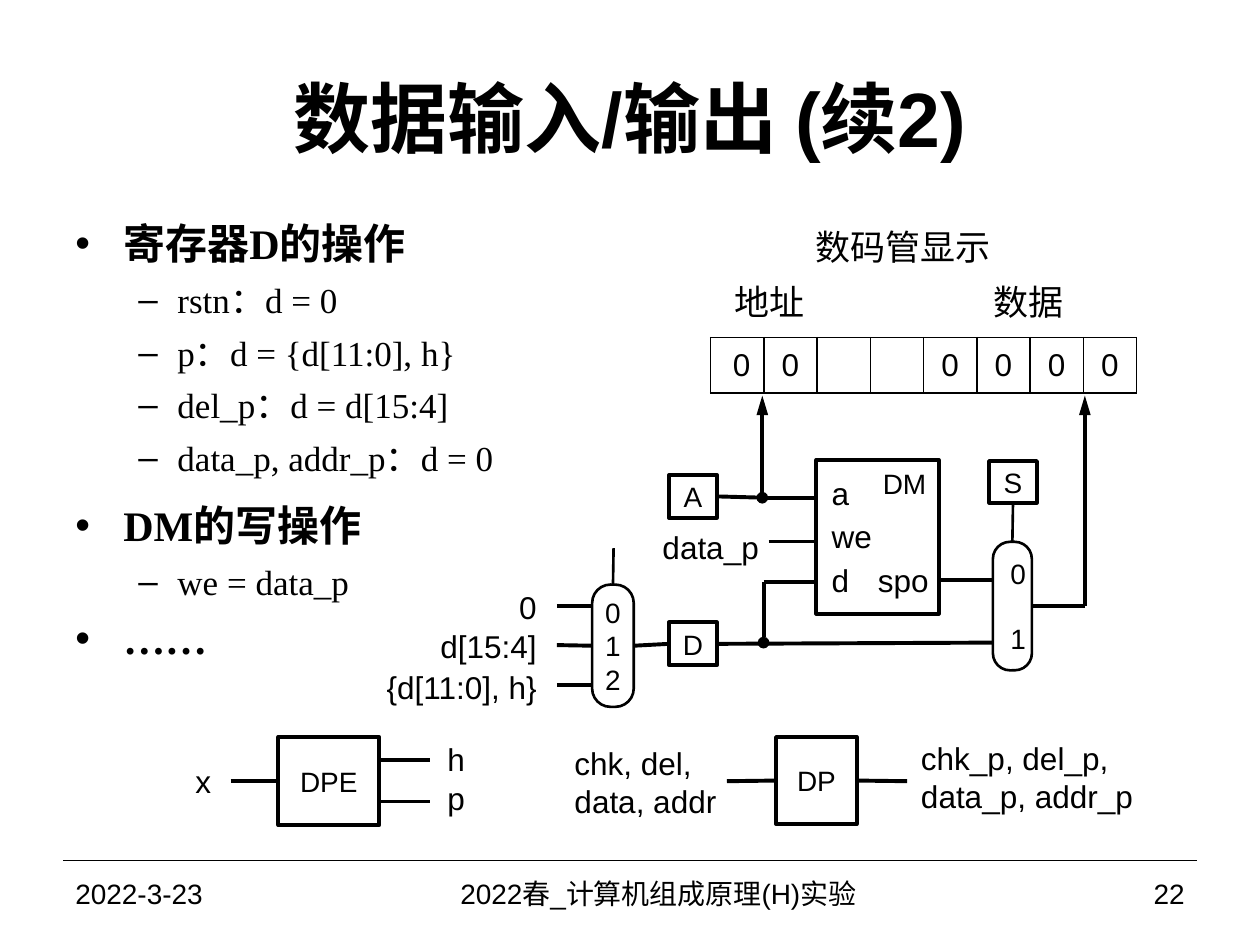
from dataclasses import dataclass

from lxml import etree
from pptx import Presentation
from pptx.dml.color import RGBColor
from pptx.enum.shapes import MSO_CONNECTOR, MSO_SHAPE
from pptx.enum.text import MSO_ANCHOR, PP_ALIGN
from pptx.oxml.ns import qn
from pptx.shapes.autoshape import Shape
from pptx.slide import Slide
from pptx.util import Emu, Pt

PX = 9144
BLACK = RGBColor(0, 0, 0)
WHITE = RGBColor(255, 255, 255)
SANS, SERIF = "Arial", "Times New Roman"
LEFT, CENTER, RIGHT = PP_ALIGN.LEFT, PP_ALIGN.CENTER, PP_ALIGN.RIGHT
TOP, MIDDLE = MSO_ANCHOR.TOP, MSO_ANCHOR.MIDDLE
STRAIGHT = MSO_CONNECTOR.STRAIGHT
RECTANGLE, ROUNDED = MSO_SHAPE.RECTANGLE, MSO_SHAPE.ROUNDED_RECTANGLE
SIDE_TOP, SIDE_LEFT, SIDE_BOTTOM, SIDE_RIGHT = range(4)
THICK, THIN, HAIRLINE = 2.25, 1.5, 0.75
END_LENGTHS = {"triangle": "lg", "oval": "med"}


@dataclass
class Label:
    at: tuple[int, int, int, int]
    text: str
    size: int = 18
    font: str = SANS
    align: PP_ALIGN = LEFT
    anchor: MSO_ANCHOR = MIDDLE
    margins: tuple[int, int] = (0, 0)
    wrap: bool = False
    bold: bool = False
    line_points: int = 0


@dataclass
class Block:
    at: tuple[int, int, int, int]
    lines: tuple[str, ...]
    rounded: bool = False
    align: PP_ALIGN = CENTER
    anchor: MSO_ANCHOR = MIDDLE
    margins: tuple[int, int, int, int] = (0, 0, 0, 0)
    wrap: bool = False
    space_before: tuple[int, ...] = (0, 0, 0)
    space_after: int = 0


@dataclass
class Wire:
    start: tuple[int, int]
    end: tuple[int, int]
    weight: float = THICK
    head: str = ""
    tail: str = ""
    start_join: tuple[str, int] | None = None
    end_join: tuple[str, int] | None = None


@dataclass
class Bullet:
    text: str
    level: int = 1
    space_before: int = 6


INSET = (10, 5)
LABELS = [
    Label((50, 30, 900, 125), "数据输入/输出 (续2)", 44, align=CENTER, margins=INSET, wrap=True, bold=True),
    Label((50, 683, 233, 52), "2022-3-23", 16, margins=INSET, wrap=True),
    Label((281, 683, 483, 52), "2022春_计算机组成原理(H)实验", 16, align=CENTER, margins=INSET, wrap=True),
    Label((775, 683, 175, 52), "22", 16, align=RIGHT, margins=INSET, wrap=True),
    Label((618, 174, 198, 44), "数码管显示", 20, SERIF, CENTER, TOP, INSET, True),
    Label((563, 218, 95, 44), "地址", 20, SERIF, CENTER, TOP, INSET, True),
    Label((771, 218, 90, 44), "数据", 20, SERIF, CENTER, TOP, INSET, True),
    Label((686, 430, 61, 46), "spo", align=RIGHT, anchor=TOP, margins=INSET, line_points=29),
    Label((660, 376, 14, 30), "a"),
    Label((660, 410, 32, 30), "we"),
    Label((660, 445, 14, 30), "d"),
    Label((516, 414, 97, 40), "data_p", anchor=TOP, margins=INSET),
    Label((296, 465, 130, 34), "0", align=RIGHT),
    Label((296, 496, 130, 34), "d[15:4]", align=RIGHT),
    Label((296, 528, 130, 34), "{d[11:0], h}", align=RIGHT),
    Label((456, 590, 143, 61), "chk, del, data, addr", wrap=True),
    Label((731, 586, 220, 61), "chk_p, del_p, data_p, addr_p", wrap=True),
    Label((155, 605, 13, 30), "x"),
    Label((355, 587, 14, 30), "h"),
    Label((355, 618, 14, 30), "p"),
]
BLOCKS = {
    "DM": Block((648, 365, 97, 122), ("DM",), align=RIGHT, anchor=TOP, margins=INSET * 2),
    "A": Block((531, 377, 38, 34), ("A",)),
    "D": Block((531, 494, 38, 34), ("D",)),
    "S": Block((785, 366, 38, 33), ("S",)),
    "DP": Block((616, 585, 64, 69), ("DP",)),
    "DPE": Block((221, 585, 80, 70), ("DPE",)),
    "display mux": Block((788, 430, 31, 102), ("0", "1"), True, margins=(9, 5, 0, 5), wrap=True,
                         space_before=(6, 12), space_after=6),
    "input mux": Block((470, 464, 33, 97), ("0", "1", "2"), True),
}
WIRES = [
    Wire((50, 683), (950, 683), HAIRLINE),
    Wire((569, 394), (606, 395), start_join=("A", SIDE_RIGHT)),
    Wire((606, 395), (648, 395)),
    Wire((605, 395), (605, 314), head="oval", tail="triangle"),
    Wire((610, 430), (648, 430), THIN),
    Wire((606, 510), (606, 462), head="oval"),
    Wire((606, 462), (648, 462)),
    Wire((569, 511), (788, 510), start_join=("D", SIDE_RIGHT)),
    Wire((746, 460), (788, 460)),
    Wire((819, 481), (861, 481), start_join=("display mux", SIDE_RIGHT)),
    Wire((861, 314), (861, 481), head="triangle"),
    Wire((804, 430), (804, 399), THIN, start_join=("display mux", SIDE_TOP), end_join=("S", SIDE_BOTTOM)),
    Wire((487, 435), (487, 464), THIN, end_join=("input mux", SIDE_TOP)),
    Wire((442, 481), (470, 481)),
    Wire((442, 512), (470, 512), end_join=("input mux", SIDE_LEFT)),
    Wire((442, 544), (470, 544)),
    Wire((503, 512), (531, 511), start_join=("input mux", SIDE_RIGHT), end_join=("D", SIDE_LEFT)),
    Wire((577, 620), (616, 620), end_join=("DP", SIDE_LEFT)),
    Wire((680, 620), (720, 620), start_join=("DP", SIDE_RIGHT)),
    Wire((183, 620), (221, 620), end_join=("DPE", SIDE_LEFT)),
    Wire((301, 603), (341, 603)),
    Wire((301, 636), (341, 636), THIN),
]
BULLETS = [
    Bullet("寄存器D的操作", 0),
    Bullet("rstn：d = 0"),
    Bullet("p：d = {d[11:0], h}"),
    Bullet("del_p：d = d[15:4]"),
    Bullet("data_p, addr_p：d = 0"),
    Bullet("DM的写操作", 0, 12),
    Bullet("we = data_p"),
    Bullet("……", 0),
]
DIGITS = ("0", "0", "", "", "0", "0", "0", "0")


def px(*values: int) -> list[Emu]:
    return [Emu(value * PX) for value in values]


def add_text(paragraph, text: str, size: int, font: str = SANS, bold: bool = False) -> None:
    run = paragraph.add_run()
    run.text = text
    run.font.size, run.font.name, run.font.bold = Pt(size), font, bold
    run.font.color.rgb = BLACK


def set_frame(frame, margins: tuple[int, ...], anchor: MSO_ANCHOR, wrap: bool) -> None:
    frame.margin_left, frame.margin_top, frame.margin_right, frame.margin_bottom = px(*margins)
    frame.vertical_anchor, frame.word_wrap = anchor, wrap


def draw_label(slide: Slide, label: Label) -> None:
    frame = slide.shapes.add_textbox(*px(*label.at)).text_frame
    set_frame(frame, label.margins * 2, label.anchor, label.wrap)
    paragraph = frame.paragraphs[0]
    paragraph.alignment = label.align
    if label.line_points:
        paragraph.line_spacing = Pt(label.line_points)
    add_text(paragraph, label.text, label.size, label.font, label.bold)


def draw_block(slide: Slide, block: Block) -> Shape:
    shape = slide.shapes.add_shape(ROUNDED if block.rounded else RECTANGLE, *px(*block.at))
    shape.shadow.inherit = False
    shape.line.color.rgb = BLACK
    shape.line.width = Pt(THIN if block.rounded else THICK)
    if block.rounded:
        shape.adjustments[0] = 0.44
        shape.fill.solid()
        shape.fill.fore_color.rgb = WHITE
    else:
        shape.fill.background()
    frame = shape.text_frame
    set_frame(frame, block.margins, block.anchor, block.wrap)
    for index, text in enumerate(block.lines):
        paragraph = frame.add_paragraph() if index else frame.paragraphs[0]
        paragraph.alignment = block.align
        paragraph.space_before = Pt(block.space_before[index])
        paragraph.space_after = Pt(block.space_after)
        add_text(paragraph, text, 16)
    return shape


def draw_wire(slide: Slide, wire: Wire, shapes: dict[str, Shape]) -> None:
    connector = slide.shapes.add_connector(STRAIGHT, *px(*wire.start, *wire.end))
    if wire.start_join:
        connector.begin_connect(shapes[wire.start_join[0]], wire.start_join[1])
    if wire.end_join:
        connector.end_connect(shapes[wire.end_join[0]], wire.end_join[1])
    connector.line.color.rgb = BLACK
    connector.line.width = Pt(wire.weight)
    properties = connector._element.spPr
    for tag, kind in (("a:headEnd", wire.head), ("a:tailEnd", wire.tail)):
        if kind:
            etree.SubElement(properties.find(qn("a:ln")), qn(tag), type=kind, w="med", len=END_LENGTHS[kind])
    etree.SubElement(properties, qn("a:effectLst"))


def draw_bullets(slide: Slide, bullets: list[Bullet]) -> None:
    frame = slide.shapes.add_textbox(*px(50, 168, 411, 377)).text_frame
    set_frame(frame, INSET * 2, TOP, True)
    for index, bullet in enumerate(bullets):
        paragraph = frame.add_paragraph() if index else frame.paragraphs[0]
        paragraph.level = bullet.level
        paragraph.space_before = Pt(bullet.space_before)
        size, mark, margin, hang = ((24, "•", 38, 38), (20, "–", 81, 31))[bullet.level]
        properties = paragraph._p.get_or_add_pPr()
        properties.set("marL", str(margin * PX))
        properties.set("indent", str(-hang * PX))
        etree.SubElement(properties, qn("a:buFont"), typeface=SANS)
        etree.SubElement(properties, qn("a:buChar"), char=mark)
        add_text(paragraph, bullet.text, size, SERIF, bullet.level == 0)


def draw_display(slide: Slide, digits: tuple[str, ...]) -> None:
    table = slide.shapes.add_table(1, len(digits), *px(564, 268, 338, 44)).table
    table.first_row = table.horz_banding = False
    for index, digit in enumerate(digits):
        cell = table.cell(0, index)
        cell.margin_left, cell.margin_top, cell.margin_right, cell.margin_bottom = px(0 if index else 7, 0, 0, 0)
        cell.vertical_anchor = MIDDLE
        for tag in ("a:lnL", "a:lnR", "a:lnT", "a:lnB"):
            border = etree.SubElement(cell._tc.get_or_add_tcPr(), qn(tag), w=str(Pt(1)))
            etree.SubElement(etree.SubElement(border, qn("a:solidFill")), qn("a:srgbClr"), val=str(BLACK))
        cell.fill.solid()
        cell.fill.fore_color.rgb = WHITE
        if digit:
            paragraph = cell.text_frame.paragraphs[0]
            paragraph.alignment = CENTER
            add_text(paragraph, digit, 18)


def main() -> None:
    presentation = Presentation()
    presentation.slide_width, presentation.slide_height = px(1000, 750)
    slide = presentation.slides.add_slide(presentation.slide_layouts[6])
    shapes = {name: draw_block(slide, block) for name, block in BLOCKS.items()}
    draw_bullets(slide, BULLETS)
    draw_display(slide, DIGITS)
    for wire in WIRES:
        draw_wire(slide, wire, shapes)
    for label in LABELS:
        draw_label(slide, label)
    presentation.save("out.pptx")


if __name__ == "__main__":
    main()
